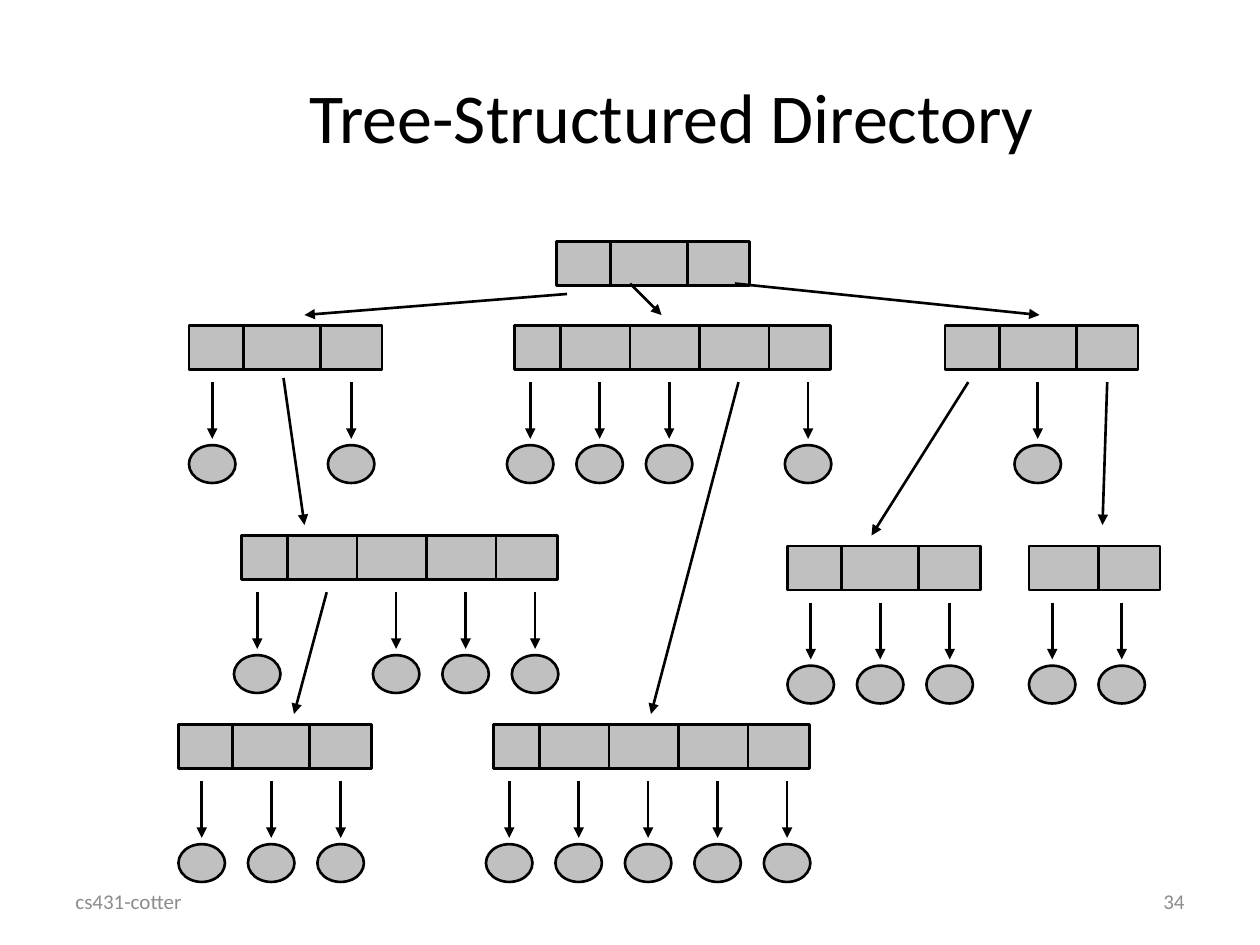
from lxml.etree import SubElement
from pptx import Presentation
from pptx.dml.color import RGBColor
from pptx.enum.shapes import MSO_CONNECTOR, MSO_SHAPE
from pptx.enum.text import MSO_ANCHOR, PP_ALIGN
from pptx.oxml.ns import qn
from pptx.util import Pt

COLORS = {"black": "000000", "box": "C0C0C0", "footer": "8C8C8C"}
STEP = 39.7
BOX_H = 25.2
LEAF_W, LEAF_H = 26.6, 21.6

prs = Presentation()
prs.slide_width, prs.slide_height = Pt(720), Pt(540)
s = prs.slides.add_slide(prs.slide_layouts[5])


def add_text(sp, text, size, color, align):
    tf = sp.text_frame
    tf.word_wrap = True
    tf.vertical_anchor = MSO_ANCHOR.MIDDLE
    p = tf.paragraphs[0]
    p.alignment = align
    r = p.add_run()
    r.text = text
    r.font.name = "Calibri"
    r.font.size = Pt(size)
    r.font.color.rgb = RGBColor.from_string(COLORS[color])


def add_line(x1, y1, x2, y2, arrow=False):
    c = s.shapes.add_connector(MSO_CONNECTOR.STRAIGHT, Pt(x1), Pt(y1), Pt(x2), Pt(y2))
    c.line.color.rgb = RGBColor.from_string(COLORS["black"])
    c.line.width = Pt(1.5)
    if arrow:
        SubElement(c.line._get_or_add_ln(), qn("a:tailEnd"), type="triangle")
    SubElement(c._element.spPr, qn("a:effectLst"))


title = s.shapes.title
title.left, title.top, title.width, title.height = Pt(78), Pt(30), Pt(612), Pt(72)
add_text(title, "Tree-Structured Directory", 40, "black", PP_ALIGN.CENTER)

for x, text, align in [(36, "cs431-cotter", PP_ALIGN.LEFT), (516, "34", PP_ALIGN.RIGHT)]:
    sp = s.shapes.add_textbox(Pt(x), Pt(500.5), Pt(168), Pt(28.75))
    add_text(sp, text, 12, "footer", align)

# cells: (width, divider offsets, first leaf centre)
CELLS = {
    2: (75, [STEP], 13.3),
    3: (110.3, [31, 75], 13.3),
    5: (180.8, [26.3 + STEP * i for i in range(4)], 9),
}
directories = [
    (318, 138, 3, []),
    (108, 186, 3, [0, 2]),
    (294, 186, 5, [0, 1, 2, 4]),
    (540, 186, 3, [1]),
    (138, 306, 5, [0, 2, 3, 4]),
    (450, 312, 3, [0, 1, 2]),
    (588, 312, 2, [0, 1]),
    (102, 414, 3, [0, 1, 2]),
    (282, 414, 5, [0, 1, 2, 3, 4]),
]
for x, y, count, leaves in directories:
    width, dividers, first = CELLS[count]
    shapes = [(MSO_SHAPE.RECTANGLE, x, y, width, BOX_H)]
    for i in leaves:
        cx = x + first + STEP * i
        shapes.append((MSO_SHAPE.OVAL, cx - LEAF_W / 2, y + 68.4, LEAF_W, LEAF_H))
        add_line(cx, y + 32.4, cx, y + 64.8, arrow=True)
    for kind, left, top, w, h in shapes:
        sp = s.shapes.add_shape(kind, Pt(left), Pt(top), Pt(w), Pt(h))
        sp.shadow.inherit = False
        sp.fill.solid()
        sp.fill.fore_color.rgb = RGBColor.from_string(COLORS["box"])
        sp.line.color.rgb = RGBColor.from_string(COLORS["black"])
        sp.line.width = Pt(1.5)
    for dx in dividers:
        add_line(x + dx, y, x + dx, y + BOX_H)

branches = [
    (324, 168, 174, 180),
    (360, 162, 378, 180),
    (420, 162, 594, 180),
    (162, 216, 174, 300),
    (422, 218.4, 372, 408),
    (553.3, 218.4, 498, 306),
    (632.7, 218.4, 630, 300),
    (186.7, 338.4, 168, 408),
]
for ends in branches:
    add_line(*ends, arrow=True)

prs.save("out.pptx")
